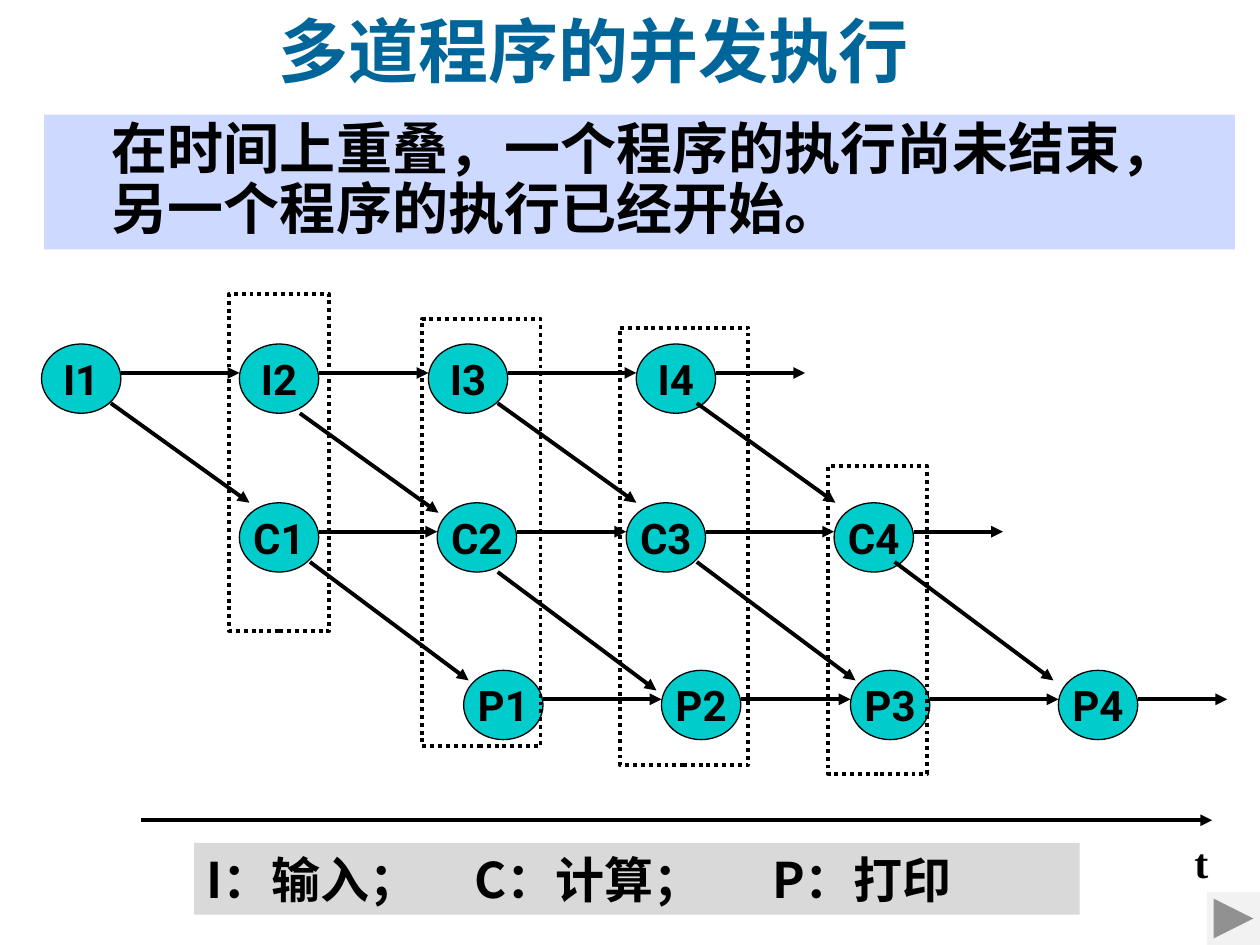
from lxml.etree import SubElement
from pptx import Presentation
from pptx.dml.color import RGBColor
from pptx.enum.dml import MSO_LINE
from pptx.enum.shapes import MSO_CONNECTOR, MSO_SHAPE
from pptx.enum.text import MSO_ANCHOR, PP_ALIGN
from pptx.oxml.ns import qn
from pptx.util import Inches, Pt

BLACK = RGBColor(0x00, 0x00, 0x00)
TITLE_BLUE = RGBColor(0x00, 0x66, 0x99)
TEAL = RGBColor(0x00, 0xCC, 0xCC)
PALE_BLUE = RGBColor(0xCD, 0xD9, 0xFF)
LEGEND_GREY = RGBColor(0xD9, 0xD9, 0xD9)
BUTTON_GREY = RGBColor(0xF2, 0xF2, 0xF2)
CJK = "Noto Sans CJK SC"

prs = Presentation()
prs.slide_width, prs.slide_height = Inches(10), Inches(7.5)
COL, ROW = prs.slide_width / 10, prs.slide_height / 7.5
slide = prs.slides.add_slide(prs.slide_layouts[6])


def add_box(x, y, w, h, shape=MSO_SHAPE.RECTANGLE, fill=None, line=0, text="",
            size=24, font=CJK, color=BLACK, align=PP_ALIGN.LEFT,
            anchor=MSO_ANCHOR.TOP, wrap=True):
    """Add a shape, or a text box when shape is None; x, y, w, h count grid cells."""
    place = int(x * COL), int(y * ROW), int(w * COL), int(h * ROW)
    if shape is None:
        s = slide.shapes.add_textbox(*place)
    else:
        s = slide.shapes.add_shape(shape, *place)
        s.shadow.inherit = False
        if fill is None:
            s.fill.background()
        else:
            s.fill.solid()
            s.fill.fore_color.rgb = fill
        if line:
            s.line.color.rgb = BLACK
            s.line.width = Pt(line)
        else:
            s.line.fill.background()
    if text:
        tf = s.text_frame
        tf.word_wrap, tf.vertical_anchor = wrap, anchor
        p = tf.paragraphs[0]
        p.alignment = align
        r = p.add_run()
        r.text = text
        for name, value in {"size": Pt(size), "name": font, "bold": True}.items():
            setattr(r.font, name, value)
        r.font.color.rgb = color
        SubElement(r.font._element, qn("a:ea"), typeface=CJK)
    return s


def add_arrow(x1, y1, x2, y2):
    s = slide.shapes.add_connector(MSO_CONNECTOR.STRAIGHT, int(x1 * COL), int(y1 * ROW),
                                   int(x2 * COL), int(y2 * ROW))
    s.line.color.rgb = BLACK
    s.line.width = Pt(2.25)
    SubElement(s.line._get_or_add_ln(), qn("a:tailEnd"), type="triangle")
    SubElement(s._element.spPr, qn("a:effectLst"))


add_box(0.97, 0.01, 7.48, 0.79, None, text="多道程序的并发执行", size=40,
        font="Times New Roman", color=TITLE_BLUE, align=PP_ALIGN.CENTER)

# Each stage repeats the same four programs, shifted later in time
NODE_W, NODE_H = 0.63, 0.55
program_lefts = [0.33, 1.9, 3.4, 5.05]
stages = [("I", 0, 2.73), ("C", 1.57, 3.99), ("P", 3.35, 5.32)]
for letter, shift, top in stages:
    lefts = [left + shift for left in program_lefts]
    for number, left in enumerate(lefts, 1):
        add_box(left, top, NODE_W, NODE_H, MSO_SHAPE.OVAL, TEAL, 0.75,
                f"{letter}{number}", font="Roboto", align=PP_ALIGN.CENTER,
                anchor=MSO_ANCHOR.MIDDLE, wrap=False)
    ends = lefts[1:] + [lefts[-1] + NODE_W + 0.71]
    for left, end in zip(lefts, ends):
        add_arrow(left + NODE_W, top + 0.23, end, top + 0.23)

# Diagonal arrows to the next stage: start columns, start row, run, drop
handovers = [([0.88, 2.38, 3.95, 5.53], 3.2, 1.1, 0.79),
             ([2.46, 3.95, 5.53, 7.1], 4.46, 1.26, 0.94)]
for starts, y, run, drop in handovers:
    for number, x in enumerate(starts, 1):
        start_y = y + 0.08 if number == 2 else y
        add_arrow(x, start_y, x + run, start_y + drop)

# Time axis
add_arrow(1.12, 6.51, 9.62, 6.51)
add_box(9.38, 6.59, 0.31, 0.51, None, text="t", font="Times New Roman", wrap=False)

s = add_box(0.35, 0.91, 9.45, 1.07, fill=PALE_BLUE, size=32,
            text="在时间上重叠，一个程序的执行尚未结束，另一个程序的执行已经开始。")
p = s.text_frame.paragraphs[0]
p.line_spacing = 0.9
p._p.get_or_add_pPr().set("marL", str(int(0.44 * COL)))

# Dotted frames around the steps that overlap
for frame in [(1.82, 2.33, 0.79, 2.68), (3.35, 2.53, 0.94, 3.39),
              (4.92, 2.6, 1.02, 3.47), (6.57, 3.7, 0.79, 2.44)]:
    s = add_box(*frame, line=2.25)
    s.line.dash_style = MSO_LINE.ROUND_DOT

add_box(9.58, 7.08, 0.42, 0.42, MSO_SHAPE.ACTION_BUTTON_FORWARD_OR_NEXT, BUTTON_GREY)

s = add_box(1.54, 6.69, 7.03, 0.57, fill=LEGEND_GREY, size=28,
            text="I：输入；\tC：计算；\tP：打印")
tabs = SubElement(s.text_frame.paragraphs[0]._p.get_or_add_pPr(), qn("a:tabLst"))
for stop in (2.13, 4.49):
    SubElement(tabs, qn("a:tab"), pos=str(int(stop * COL)), algn="l")

prs.save("out.pptx")
